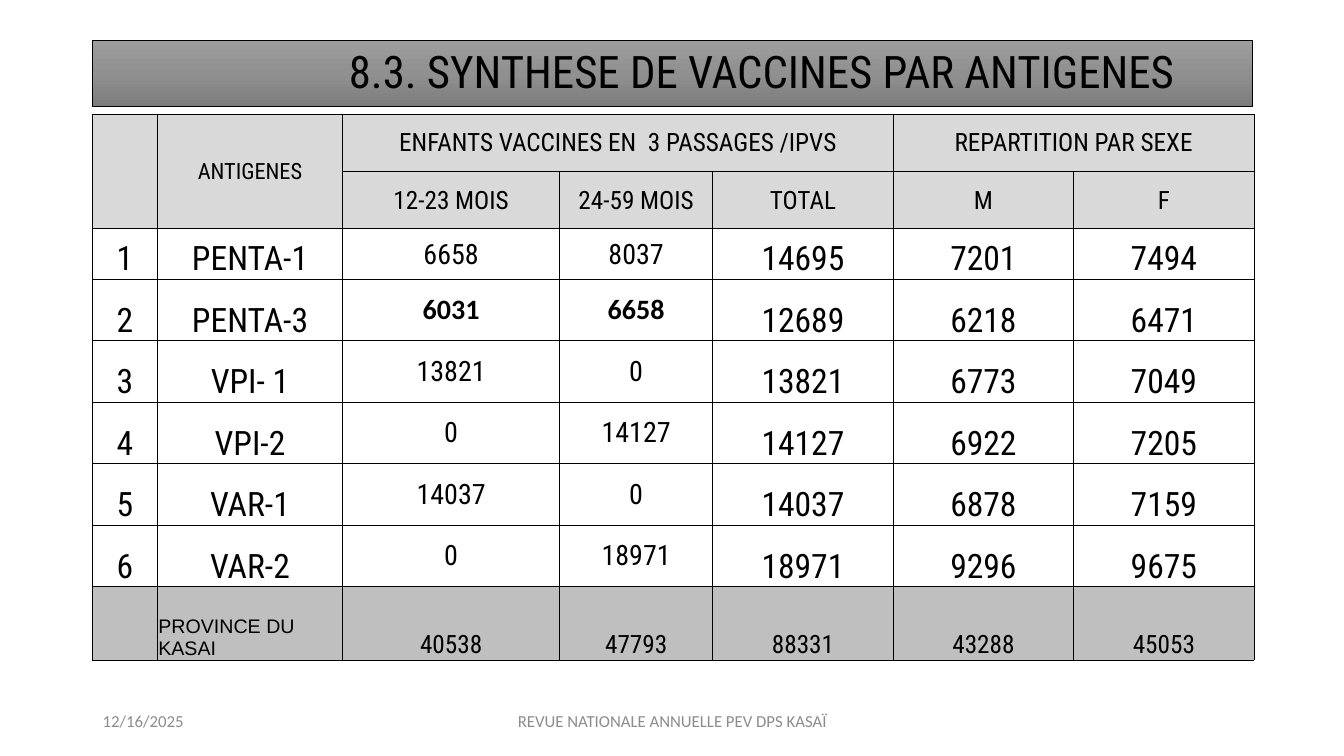
"""Build the slide summarising vaccinated children by antigen."""
from copy import deepcopy
from dataclasses import dataclass

from lxml import etree
from pptx import Presentation
from pptx.dml.color import RGBColor
from pptx.enum import text
from pptx.oxml import ns
from pptx.util import Inches, Pt


@dataclass(frozen=True)
class Theme:
    black: str = "000000"
    white: str = "FFFFFF"
    header: str = "D9D9D9"
    total: str = "BFBFBF"
    footer: str = "8C8C8C"
    gradient: tuple = ("9D9D9D", "909090", "7C7C7C")
    main_font: str = "Roboto Condensed"
    footer_font: str = "Calibri"
    bold_font: str = "Calibri"
    province_font: str = "Arial"
    title_size: int = 32
    body_size: int = 24
    age_size: int = 20
    header_size: int = 18
    antigen_size: int = 16
    province_size: int = 14
    footer_size: int = 12
    line_width: float = 0.5


theme = Theme()


def style_text(frame, size, font, color, align, bold=False):
    para = frame.paragraphs[0]
    para.alignment = align
    for span in para.runs:
        span.font.size = Pt(size)
        span.font.name = font
        span.font.bold = bold
        span.font.color.rgb = RGBColor.from_string(color)


def add_borders(cell):
    properties = cell._tc.get_or_add_tcPr()
    for side in ("a:lnL", "a:lnR", "a:lnT", "a:lnB"):
        line = etree.SubElement(properties, ns.qn(side), w=str(Pt(theme.line_width)))
        fill = etree.SubElement(line, ns.qn("a:solidFill"))
        etree.SubElement(fill, ns.qn("a:srgbClr"), val=theme.black)


deck = Presentation()
deck.slide_width = Inches(13.33)
deck.slide_height = Inches(7.5)
page = deck.slides.add_slide(deck.slide_layouts[5])

left, width = Inches(0.92), Inches(11.5)
center, start = text.PP_ALIGN.CENTER, text.PP_ALIGN.LEFT
middle, bottom = text.MSO_ANCHOR.MIDDLE, text.MSO_ANCHOR.BOTTOM

title = page.shapes.title
title.left, title.top, title.width, title.height = left, Inches(0.4), width, Inches(0.66)
title.fill.gradient()
title.fill.gradient_angle = 270
first_stop = title.fill.gradient_stops[0]._gs
first_stop.addnext(deepcopy(first_stop))
for index, (stop, color) in enumerate(zip(title.fill.gradient_stops, theme.gradient)):
    stop.position = index / 2
    stop.color.rgb = RGBColor.from_string(color)
title.line.color.rgb = RGBColor.from_string(theme.black)
title.line.width = Pt(theme.line_width)
frame = title.text_frame
frame.text = "8.3. SYNTHESE DE VACCINES PAR ANTIGENES"
frame.auto_size = text.MSO_AUTO_SIZE.NONE
frame.vertical_anchor = middle
frame.margin_left = Inches(2.54)
frame.paragraphs[0].line_spacing = 0.9
style_text(frame, theme.title_size, theme.main_font, theme.black, start)

footers = [
    ("12/16/2025", 0.92, 3, start),
    ("REVUE NATIONALE ANNUELLE PEV DPS KASAÏ", 4.42, 4.5, center),
]
for words, box_left, box_width, align in footers:
    box = page.shapes.add_textbox(Inches(box_left), Inches(6.95), Inches(box_width), Inches(0.4))
    box.text_frame.text = words
    box.text_frame.word_wrap = True
    box.text_frame.vertical_anchor = middle
    style_text(box.text_frame, theme.footer_size, theme.footer_font, theme.footer, align)

rows = [
    ["", "ANTIGENES", "ENFANTS VACCINES EN  3 PASSAGES /IPVS", "", "", "REPARTITION PAR SEXE", ""],
    ["", "", "12-23 MOIS", "24-59 MOIS", "TOTAL", "M", "F"],
    ["1", "PENTA-1", "6658", "8037", "14695", "7201", "7494"],
    ["2", "PENTA-3", "6031", "6658", "12689", "6218", "6471"],
    ["3", "VPI- 1", "13821", "0", "13821", "6773", "7049"],
    ["4", "VPI-2", "0", "14127", "14127", "6922", "7205"],
    ["5", "VAR-1", "14037", "0", "14037", "6878", "7159"],
    ["6", "VAR-2", "0", "18971", "18971", "9296", "9675"],
    ["", "PROVINCE DU KASAI", "40538", "47793", "88331", "43288", "45053"],
]
column_widths = [0.64, 1.84, 2.15, 1.52, 1.79, 1.79, 1.79]
row_heights = [0.57] * 2 + [0.5] + [0.61] * 5 + [0.73]
total_row = len(rows) - 1

table = page.shapes.add_table(
    len(rows), len(column_widths), left, Inches(1.13), width, Inches(sum(row_heights))
).table
table.first_row = table.horz_banding = False
for column, column_width in zip(table.columns, column_widths):
    column.width = Inches(column_width)
for row, row_height in zip(table.rows, row_heights):
    row.height = Inches(row_height)

for r, values in enumerate(rows):
    for c, value in enumerate(values):
        cell = table.cell(r, c)
        font, align, anchor, bold = theme.main_font, center, bottom, False
        size, fill = theme.body_size, theme.white
        if r < 2:
            size, fill, anchor = theme.header_size, theme.header, middle
            if c == 1:
                size = theme.antigen_size
        elif r == total_row:
            size, fill = theme.header_size, theme.total
            if c == 1:
                size, font, align = theme.province_size, theme.province_font, start
        elif c in (2, 3):
            size, anchor = theme.age_size, middle
            if values[1] == "PENTA-3":
                font, bold = theme.bold_font, True
        add_borders(cell)
        cell.fill.solid()
        cell.fill.fore_color.rgb = RGBColor.from_string(fill)
        cell.margin_left = cell.margin_right = cell.margin_top = Inches(0.01)
        cell.margin_bottom = 0
        cell.vertical_anchor = anchor
        if value:
            cell.text_frame.text = value
            style_text(cell.text_frame, size, font, theme.black, align, bold)

for first, last in [((0, 0), (1, 0)), ((0, 1), (1, 1)), ((0, 2), (0, 4)), ((0, 5), (0, 6))]:
    table.cell(*first).merge(table.cell(*last))

deck.save("out.pptx")
